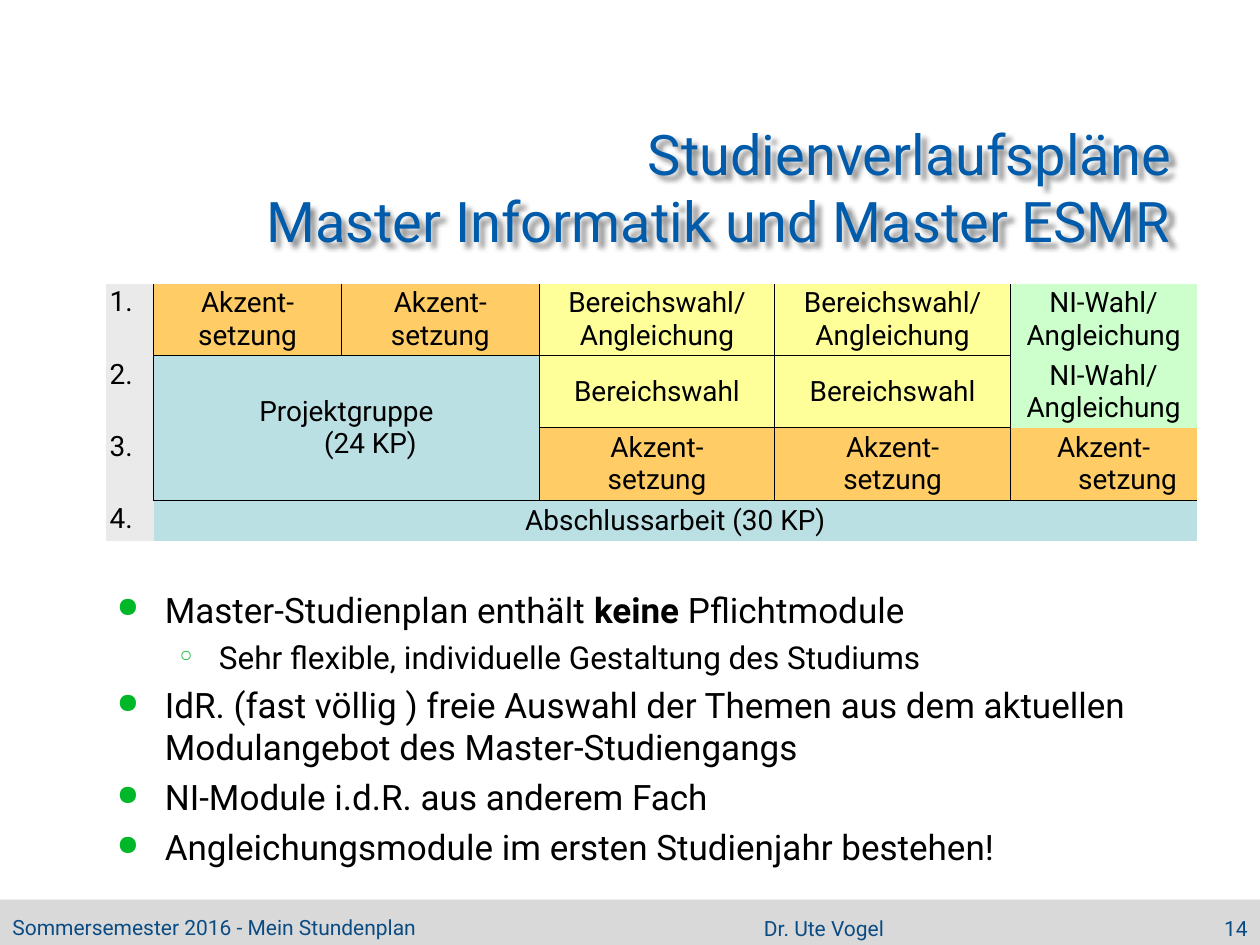
from copy import deepcopy

from lxml import etree
from pptx import Presentation
from pptx import util as u
from pptx.dml.color import RGBColor
from pptx.enum import shapes, text
from pptx.oxml import ns

# Colours
BLACK = RGBColor(0x00, 0x00, 0x00)
TITLE_BLUE = RGBColor(0x00, 0x5B, 0xAA)
FOOTER_BLUE = RGBColor(0x0B, 0x4B, 0x83)
BULLET_GREEN = RGBColor(0x00, 0xB7, 0x27)
FOOTER_GREY = RGBColor(0xD9, 0xD9, 0xD9)
LABEL_GREY = RGBColor(0xEA, 0xEA, 0xEA)
ORANGE = RGBColor(0xFF, 0xCC, 0x66)
YELLOW = RGBColor(0xFF, 0xFF, 0x99)
GREEN = RGBColor(0xCC, 0xFF, 0xCC)
TEAL = RGBColor(0xBB, 0xE0, 0xE3)

ALIGN = text.PP_ALIGN
ANCHOR = text.MSO_ANCHOR

# The slide is a grid of 100 columns by 75 rows
COLUMNS, ROWS = 100, 75
HANGING = 3.8

# Bullet levels: sign, sign size in percent, text size, left edge, hanging part
LEVELS = [("●", 80, 20, 3.8, 3.8), ("○", 50, 18, 8.1, 3.1)]


def add_xml(parent, tag, **attributes):
    return etree.SubElement(parent, ns.qn(tag), attributes)


class SlideBuilder:
    font_name = "Roboto"

    def __init__(self, presentation):
        self.unit = presentation.slide_width / COLUMNS
        self.slide = presentation.slides.add_slide(presentation.slide_layouts[5])

    def length(self, units):
        return u.Emu(round(units * self.unit))

    def box(self, *edges):
        return [self.length(edge) for edge in edges]

    def format_runs(self, paragraph, size, color):
        values = {"name": self.font_name, "size": u.Pt(size)}
        for run in paragraph.runs:
            for name, value in values.items():
                setattr(run.font, name, value)
            run.font.color.rgb = color
        # Line breaks take the size of the text around them
        for line_break in paragraph._p.findall(ns.qn("a:br")):
            line_break.append(deepcopy(paragraph.runs[0]._r.rPr))

    def indent(self, paragraph, left, hanging):
        properties = paragraph._p.get_or_add_pPr()
        properties.set("marL", str(self.length(left)))
        properties.set("indent", str(-self.length(hanging)))
        return properties

    def title(self, words, at):
        shape = self.slide.shapes.title
        for name, value in zip(("left", "top", "width", "height"), self.box(*at)):
            setattr(shape, name, value)
        frame = shape.text_frame
        frame.text = words
        frame.auto_size = text.MSO_AUTO_SIZE.NONE
        frame.vertical_anchor = ANCHOR.MIDDLE
        frame.paragraphs[0].alignment = ALIGN.RIGHT
        self.format_runs(frame.paragraphs[0], 32, TITLE_BLUE)
        effects = add_xml(shape._element.spPr, "a:effectLst")
        shadow = add_xml(effects, "a:outerShdw", blurRad="38100", dist="38100",
                         dir="2700000", algn="tl")
        color = add_xml(shadow, "a:srgbClr", val=str(BLACK))
        add_xml(color, "a:alpha", val="43000")

    def bar(self, at, color):
        shape = self.slide.shapes.add_shape(shapes.MSO_SHAPE.RECTANGLE, *self.box(*at))
        shape.shadow.inherit = False
        shape.fill.solid()
        shape.fill.fore_color.rgb = color
        shape.line.fill.background()

    def text_box(self, at):
        frame = self.slide.shapes.add_textbox(*self.box(*at)).text_frame
        frame.word_wrap = True
        return frame

    def footer(self, words, at, alignment):
        frame = self.text_box(at)
        frame.vertical_anchor = ANCHOR.MIDDLE
        frame.text = words
        frame.paragraphs[0].alignment = alignment
        self.format_runs(frame.paragraphs[0], 12, FOOTER_BLUE)

    def bullets(self, items, at):
        frame = self.text_box(at)
        for index, (level, parts) in enumerate(items):
            paragraph = frame.add_paragraph() if index else frame.paragraphs[0]
            sign, sign_size, size, left, hanging = LEVELS[level]
            paragraph.level = level
            paragraph.space_before = u.Pt(size * 0.23)
            properties = self.indent(paragraph, left, hanging)
            color = add_xml(properties, "a:buClr")
            add_xml(color, "a:srgbClr", val=str(BULLET_GREEN))
            add_xml(properties, "a:buSzPct", val=str(sign_size * 1000))
            add_xml(properties, "a:buChar", char=sign)
            for part_index, part in enumerate(parts):
                run = paragraph.add_run()
                run.text = part
                # Every second part is stressed
                run.font.bold = part_index % 2 == 1
            self.format_runs(paragraph, size, BLACK)

    def table(self, at, widths, heights):
        table = self.slide.shapes.add_table(
            len(heights), len(widths), *self.box(*at)).table
        table.first_row = table.horz_banding = False
        for column, width in zip(table.columns, widths):
            column.width = self.length(width)
        for row, height in zip(table.rows, heights):
            row.height = self.length(height)
        return table

    def cell_borders(self, cell, sides):
        properties = cell._tc.get_or_add_tcPr()
        for side in "LRTB":
            line = add_xml(properties, f"a:ln{side}", w=str(u.Pt(0.5)))
            if side in sides:
                fill = add_xml(line, "a:solidFill")
                add_xml(fill, "a:srgbClr", val=str(BLACK))
            else:
                add_xml(line, "a:noFill")

    def cell(self, cell, words, color, hanging=True, label=False):
        values = {"margin_left": 0.3, "margin_right": 0.3,
                  "margin_top": 0.2, "margin_bottom": 0.2}
        for name, value in values.items():
            setattr(cell, name, self.length(value))
        cell.vertical_anchor = ANCHOR.TOP if label else ANCHOR.MIDDLE
        cell.fill.solid()
        cell.fill.fore_color.rgb = color
        cell.text_frame.text = words
        for paragraph in cell.text_frame.paragraphs:
            paragraph.alignment = ALIGN.LEFT if label else ALIGN.CENTER
            if hanging:
                self.indent(paragraph, HANGING, HANGING)
            self.format_runs(paragraph, 16, BLACK)


def plan_sides(row, column):
    """Sides of a study plan cell that carry a line."""
    if row == 3:
        return "T" if column else ""
    if column in (0, 5):
        return "L" if column else "R"
    return "LRTB" if row else "LRB"


def main():
    presentation = Presentation()
    presentation.slide_width, presentation.slide_height = u.Inches(10), u.Inches(7.5)
    builder = SlideBuilder(presentation)

    builder.bar((0, 71.4, 100, 3.6), FOOTER_GREY)
    builder.title("Studienverlaufspläne\vMaster Informatik und Master ESMR",
                  (15.3, 9.9, 78.7, 9.8))

    # Bullet list
    builder.bullets([
        (0, ["Master-Studienplan enthält ", "keine", " Pflichtmodule"]),
        (1, ["Sehr flexible, individuelle Gestaltung des Studiums"]),
        (0, ["IdR. (fast völlig ) freie Auswahl der Themen aus dem aktuellen "
             "Modulangebot des Master-Studiengangs"]),
        (0, ["NI-Module i.d.R. aus anderem Fach"]),
        (0, ["Angleichungsmodule im ersten Studienjahr bestehen!"]),
    ], (8.3, 46.2, 86.6, 22.8))

    # Study plan: one row per semester
    heights = [5.56, 5.56, 5.56, 3.25]
    plan = builder.table((8.4, 22.5, 86.6, sum(heights)),
                         [3.8, 14.9, 15.7, 18.7, 18.7, 14.8], heights)
    for row in range(4):
        for column in range(6):
            builder.cell_borders(plan.cell(row, column), plan_sides(row, column))
        builder.cell(plan.cell(row, 0), f"{row + 1}.", LABEL_GREY, label=True)
    plan.cell(1, 1).merge(plan.cell(2, 2))
    plan.cell(3, 1).merge(plan.cell(3, 5))

    # Modules: row, column, words, colour, hanging indent
    focus, choice = "Akzent-\nsetzung", "Bereichswahl/ Angleichung"
    focus_break, minor = "Akzent-\vsetzung", "NI-Wahl/\nAngleichung"
    for row, column, words, color, hanging in [
        (0, 1, focus, ORANGE, False),
        (0, 2, focus, ORANGE, False),
        (0, 3, choice, YELLOW, False),
        (0, 4, choice, YELLOW, False),
        (0, 5, minor, GREEN, False),
        (1, 1, "Projektgruppe\v(24 KP)", TEAL, True),
        (1, 3, "Bereichswahl", YELLOW, False),
        (1, 4, "Bereichswahl", YELLOW, True),
        (1, 5, minor, GREEN, True),
        (2, 3, focus, ORANGE, True),
        (2, 4, focus_break, ORANGE, False),
        (2, 5, focus_break, ORANGE, True),
        (3, 1, "Abschlussarbeit (30 KP)", TEAL, True),
    ]:
        builder.cell(plan.cell(row, column), words, color, hanging)

    # Footer
    builder.footer("Sommersemester 2016 - Mein Stundenplan",
                   (0, 72.2, 39.8, 2.8), ALIGN.LEFT)
    builder.footer("Dr. Ute Vogel", (39.8, 72.4, 51.2, 2.6), ALIGN.CENTER)
    builder.footer("14", (92.1, 72.4, 7.9, 2.6), ALIGN.RIGHT)

    presentation.save("out.pptx")


if __name__ == "__main__":
    main()
